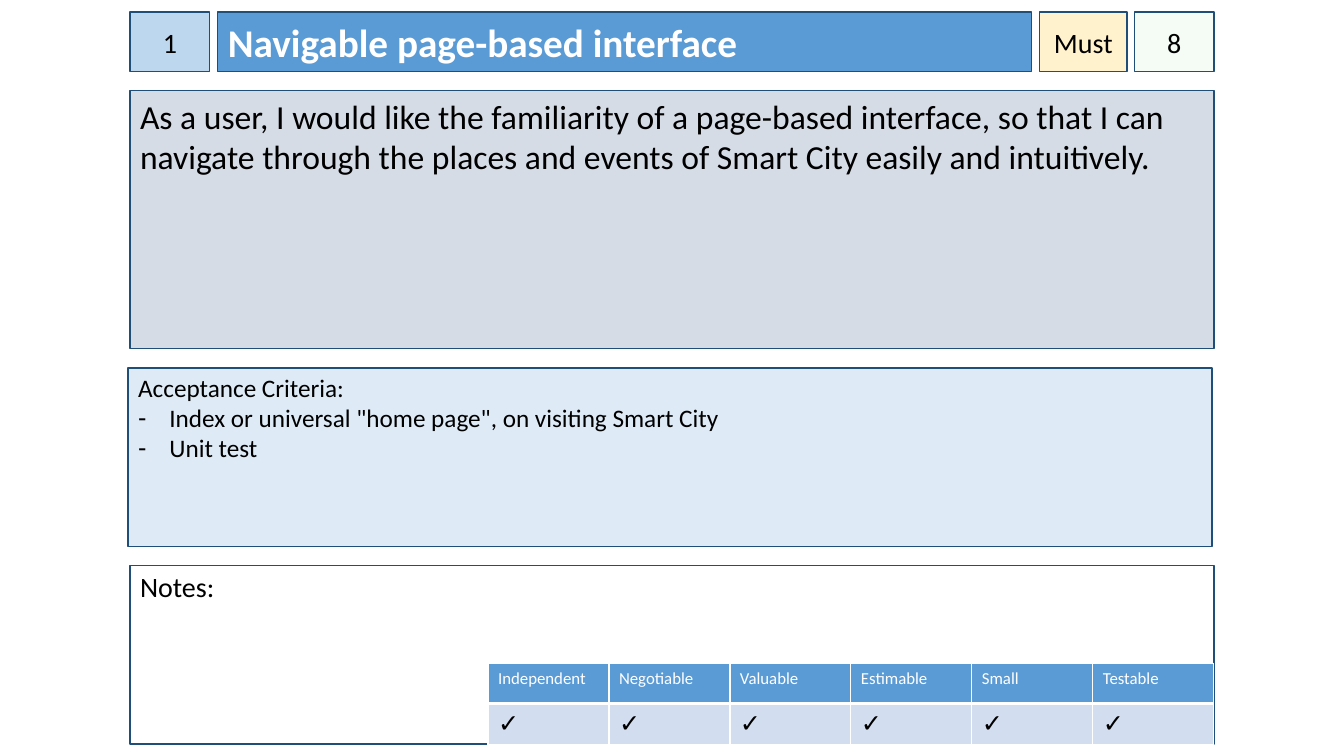
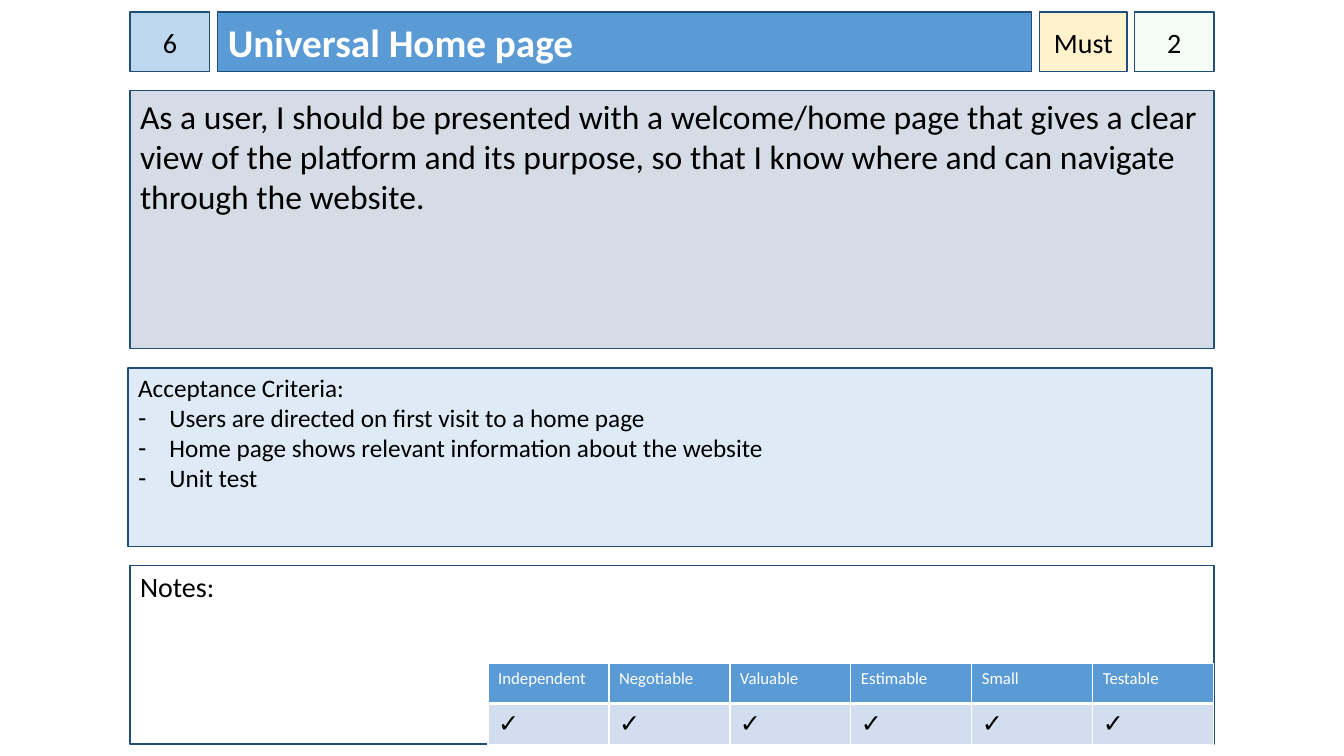
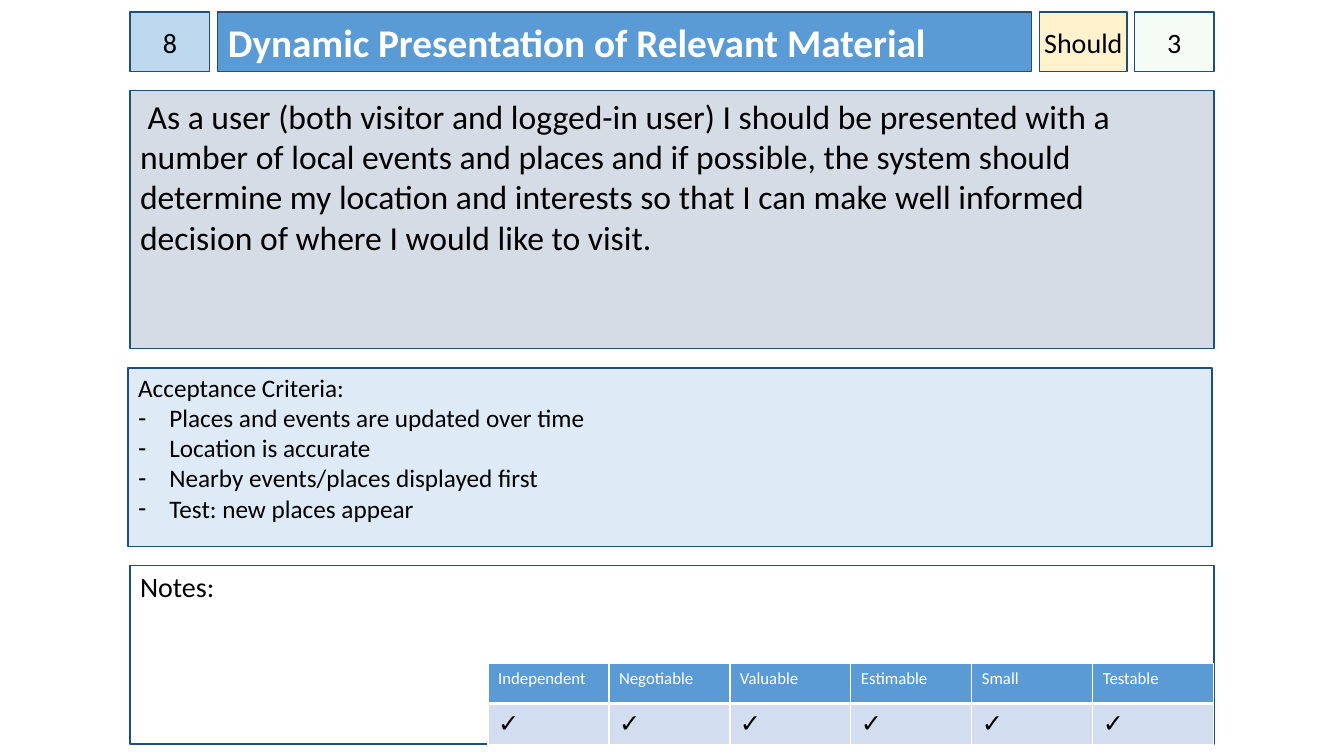
"""Builds a deck of user story cards."""
from lxml import etree
from pptx import Presentation
from pptx import util as u
from pptx.dml.color import RGBColor
from pptx.enum import shapes, text
from pptx.oxml.ns import qn

FONT = "Calibri"
BLACK, WHITE, BLUE, NAVY = "000000", "FFFFFF", "5B9BD5", "1F4E79"
ID_FILL, STORY_FILL, CRITERIA_FILL = "BDD7EE", "D6DCE5", "DEEBF7"
PRIORITY_FILL, POINTS_FILL, CHECK_FILL = "FFF2CC", "CCF0CD", "D2DEEF"

LEFT, RIGHT, TOP = 1.29, 12.04, 0.12
HEADER_H, STORY_H, PANEL_H = 0.59, 2.56, 1.77
ROW_GAP, COLUMN_GAP = 0.19, 0.08
BADGE_W, TITLE_W, PRIORITY_W = 0.79, 8.07, 0.87
CHECK_W, CHECK_H, INDENT = 1.2, 0.4, 0.31

WIDTH = RIGHT - LEFT
TITLE_X = LEFT + BADGE_W + COLUMN_GAP
PRIORITY_X = TITLE_X + TITLE_W + COLUMN_GAP
STORY_Y = TOP + HEADER_H + ROW_GAP
CRITERIA_Y = STORY_Y + STORY_H + ROW_GAP
NOTES_Y = CRITERIA_Y + PANEL_H + ROW_GAP

BADGE_INSETS = (0, 0.05, 0, 0.05)
PANEL_INSETS = (0.1, 0.04, 0.1, 0.05)
QUALITIES = ["Independent", "Negotiable", "Valuable", "Estimable", "Small", "Testable"]

STORIES = [
    ("1", "Navigable page-based interface", "Must", "8",
     "As a user, I would like the familiarity of a page-based interface, so that I can "
     "navigate through the places and events of Smart City easily and intuitively.",
     ['Index or universal "home page", on visiting Smart City', "Unit test"]),
    ("6", "Universal Home page", "Must", "2",
     "As a user, I should be presented with a welcome/home page that gives a clear view of "
     "the platform and its purpose, so that I know where and can navigate through the website.",
     ["Users are directed on first visit to a home page",
      "Home page shows relevant information about the website", "Unit test"]),
    ("8", "Dynamic Presentation of Relevant Material", "Should", "3",
     " As a user (both visitor and logged-in user) I should be presented with a number of "
     "local events and places and if possible, the system should determine my location and "
     "interests so that I can make well informed decision of where I would like to visit.",
     ["Places and events are updated over time", "Location is accurate",
      "Nearby events/places displayed first", "Test: new places appear"]),
]


def paint(color_format, color):
    color_format.rgb = RGBColor.from_string(color)


def fill(target, color):
    target.fill.solid()
    paint(target.fill.fore_color, color)


class StoryCard:
    def __init__(self, deck):
        self.slide = deck.slides.add_slide(deck.slide_layouts[1])

    def set_text(self, frame, words, size, color=BLACK, bold=False, align=text.PP_ALIGN.LEFT):
        frame.text = words
        for paragraph in frame.paragraphs:
            paragraph.alignment = align
            paragraph.space_before = u.Pt(0)
            for run in paragraph.runs:
                run.font.name, run.font.size, run.font.bold = FONT, u.Pt(size), bold
                paint(run.font.color, color)

    def frame_box(self, box, place, background, words, size, insets=(0.1, 0.05, 0.1, 0.05),
                  anchor=text.MSO_ANCHOR.TOP, wrap=True, **style):
        box.left, box.top, box.width, box.height = map(u.Inches, place)
        box.shadow.inherit = False
        fill(box, background)
        box.line.fill.solid()
        paint(box.line.color, NAVY)
        box.line.width = u.Pt(1)
        frame = box.text_frame
        frame.auto_size = text.MSO_AUTO_SIZE.NONE
        frame.word_wrap, frame.vertical_anchor = wrap, anchor
        (frame.margin_left, frame.margin_top,
         frame.margin_right, frame.margin_bottom) = map(u.Inches, insets)
        self.set_text(frame, words, size, **style)
        return box

    def panel(self, place, background, words, size, **style):
        box = self.slide.shapes.add_shape(shapes.MSO_SHAPE.RECTANGLE, *map(u.Inches, place))
        return self.frame_box(box, place, background, words, size, **style)

    def badge(self, left, width, background, words, wrap=True):
        return self.panel((left, TOP, width, HEADER_H), background, words, 20,
                          insets=BADGE_INSETS, anchor=text.MSO_ANCHOR.MIDDLE, wrap=wrap,
                          align=text.PP_ALIGN.CENTER)

    def title(self, words):
        self.frame_box(self.slide.shapes.title, (TITLE_X, TOP, TITLE_W, HEADER_H), BLUE, words, 28,
                       anchor=text.MSO_ANCHOR.MIDDLE, color=WHITE, bold=True)

    def criteria(self, items):
        body = self.frame_box(self.slide.placeholders[1], (LEFT - 0.02, CRITERIA_Y, WIDTH, PANEL_H),
                              CRITERIA_FILL, "\n".join(["Acceptance Criteria:", *items]), 18,
                              insets=PANEL_INSETS)
        heading, *bullets = body.text_frame.paragraphs
        self.indent(heading, 0, "buNone")
        for bullet in bullets:
            self.indent(bullet, INDENT, "buChar", char="-")

    def indent(self, paragraph, depth, marker, **attributes):
        properties = paragraph._p.get_or_add_pPr()
        properties.set("marL", str(u.Inches(depth)))
        properties.set("indent", str(u.Inches(-depth)))
        etree.SubElement(properties, qn("a:" + marker), **attributes)

    def points(self, words):
        box = self.badge(RIGHT - BADGE_W, BADGE_W, POINTS_FILL, words)
        tint = box._element.spPr.find(qn("a:solidFill"))[0]
        etree.SubElement(tint, qn("a:alpha"), val="20000")

    def checklist(self):
        width, height = CHECK_W * len(QUALITIES), CHECK_H * 2
        place = (RIGHT - width, NOTES_Y + PANEL_H - height, width, height)
        table = self.slide.shapes.add_table(2, len(QUALITIES), *map(u.Inches, place)).table
        table.horz_banding = False
        for column, quality in enumerate(QUALITIES):
            self.check_cell(table.cell(0, column), quality, 12, WHITE, BLUE, 3)
            self.check_cell(table.cell(1, column), "\u2713", 18, BLACK, CHECK_FILL, 1)

    def check_cell(self, cell, words, size, color, background, bottom):
        self.set_text(cell.text_frame, words, size, color)
        fill(cell, background)
        properties = cell._tc.get_or_add_tcPr()
        for index, (side, weight) in enumerate(zip("LRTB", (1, 1, 1, bottom))):
            border = etree.Element(qn("a:ln" + side), w=str(u.Pt(weight)))
            solid = etree.SubElement(border, qn("a:solidFill"))
            etree.SubElement(solid, qn("a:srgbClr"), val=WHITE)
            properties.insert(index, border)


deck = Presentation()
deck.slide_width, deck.slide_height = u.Inches(13.33), u.Inches(7.5)
for number, title, priority, points, story, criteria in STORIES:
    card = StoryCard(deck)
    card.badge(LEFT, BADGE_W, ID_FILL, number)
    card.title(title)
    card.panel((LEFT, STORY_Y, WIDTH, STORY_H), STORY_FILL, story, 24)
    card.criteria(criteria)
    card.points(points)
    card.badge(PRIORITY_X, PRIORITY_W, PRIORITY_FILL, priority, wrap=False)
    card.panel((LEFT, NOTES_Y, WIDTH, PANEL_H), WHITE, "Notes:", 20, insets=PANEL_INSETS)
    card.checklist()
deck.save("out.pptx")
